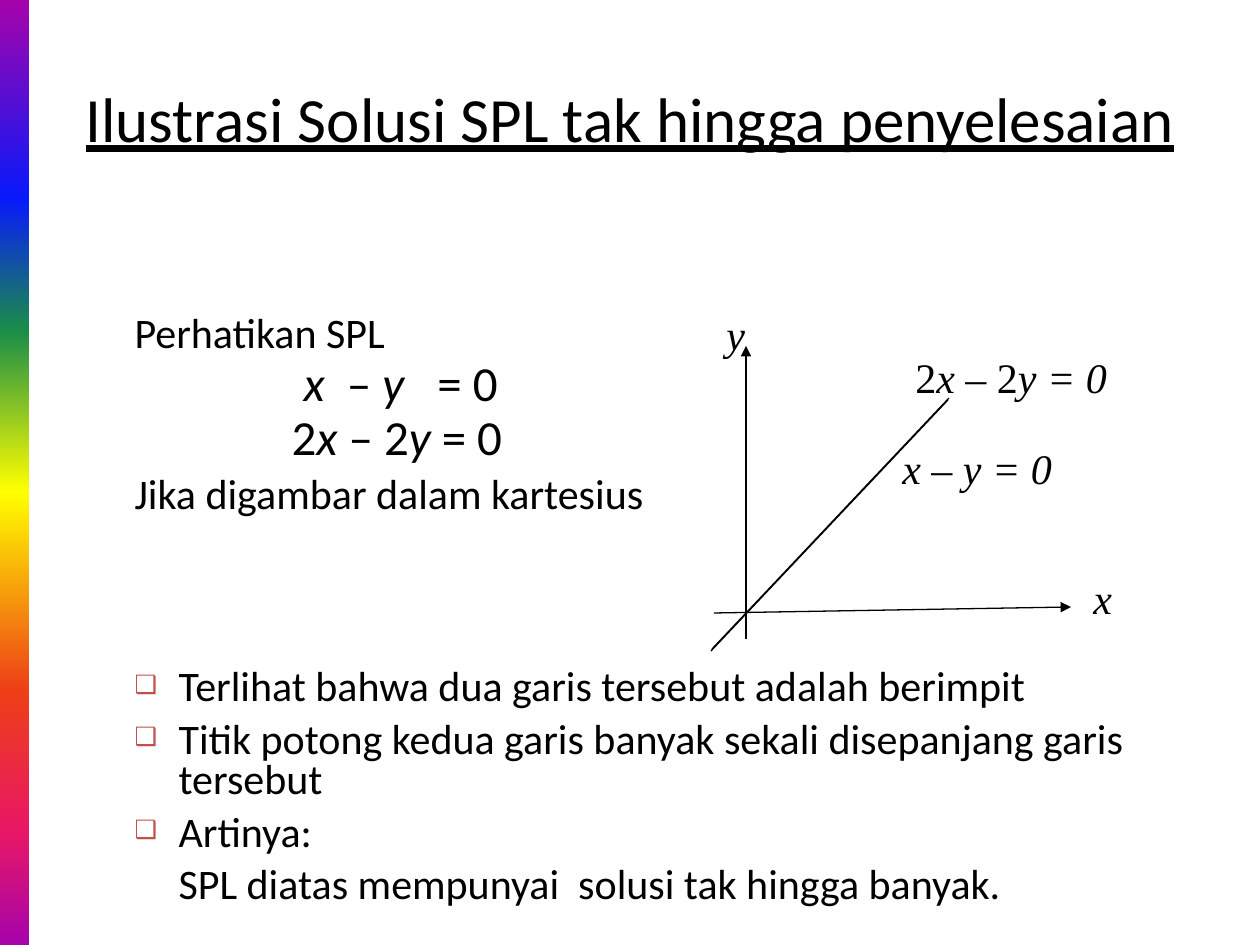
from dataclasses import dataclass

from lxml import etree
from pptx import Presentation
from pptx.dml.color import RGBColor
from pptx.enum.dml import MSO_LINE
from pptx.enum.shapes import MSO_CONNECTOR, MSO_SHAPE
from pptx.enum.text import MSO_ANCHOR, MSO_AUTO_SIZE, PP_ALIGN
from pptx.oxml.ns import qn
from pptx.util import Emu, Pt

SOLID = MSO_LINE.SOLID
STRAIGHT = MSO_CONNECTOR.STRAIGHT
RECTANGLE = MSO_SHAPE.RECTANGLE
MIDDLE, TOP = MSO_ANCHOR.MIDDLE, MSO_ANCHOR.TOP
GROW, FIXED = MSO_AUTO_SIZE.SHAPE_TO_FIT_TEXT, MSO_AUTO_SIZE.NONE
CENTER, LEFT = PP_ALIGN.CENTER, PP_ALIGN.LEFT

PX_PER_INCH = 126
BLACK, BULLET_RED = "000000", "C0504D"
SANS, SERIF = "Calibri", "Times New Roman"
RAINBOW = [(0, "A603AB"), (21, "0819FB"), (35, "1A8D48"), (52, "FFFF00"),
           (73, "EE3F17"), (88, "E81766"), (100, "A603AB")]

# A piece of text is (wording, italic)
Piece = tuple[str, bool]


@dataclass
class Line:
    start: tuple[int, int]
    end: tuple[int, int]
    arrow: bool = False


@dataclass
class Label:
    left: int
    top: int
    width: int
    pieces: list[Piece]


@dataclass
class Item:
    pieces: list[Piece]
    before: int = 7
    size: int = 24
    level: int = 0
    margin: int = 44
    indent: int = -44
    bullet: bool = False


def px(length: int) -> Emu:
    return Emu(round(length * 914400 / PX_PER_INCH))


def color(code: str) -> RGBColor:
    return RGBColor.from_string(code)


def place(shape, left: int, top: int, width: int, height: int) -> None:
    shape.left, shape.top = px(left), px(top)
    shape.width, shape.height = px(width), px(height)


def add_pieces(para, pieces: list[Piece], font: str, size: int) -> None:
    for wording, italic in pieces:
        span = para.add_run()
        span.text = wording
        span.font.name = font
        span.font.size = Pt(size)
        span.font.italic = italic
        span.font.color.rgb = color(BLACK)


def add_strip(page) -> None:
    strip = page.shapes.add_shape(RECTANGLE, 0, 0, px(29), px(945))
    strip.shadow.inherit = False
    strip.line.fill.background()
    strip.fill.gradient()
    strip.fill.gradient_angle = 270
    stops = strip.fill._fill._gradFill.find(qn("a:gsLst"))
    for old in list(stops):
        stops.remove(old)
    for position, code in RAINBOW:
        stop = etree.SubElement(stops, qn("a:gs"), pos=str(position * 1000))
        etree.SubElement(stop, qn("a:srgbClr"), val=code)
    page.shapes._spTree.insert(2, strip._element)  # behind the placeholders


def add_line(page, line: Line) -> None:
    ends = [px(value) for value in line.start + line.end]
    connector = page.shapes.add_connector(STRAIGHT, *ends)
    connector.line.color.rgb = color(BLACK)
    connector.line.width = Pt(0.75)
    connector.line.dash_style = SOLID
    if line.arrow:
        etree.SubElement(connector.line._get_or_add_ln(), qn("a:tailEnd"), type="triangle")
    etree.SubElement(connector._element.spPr, qn("a:effectLst"))


def add_label(page, label: Label) -> None:
    box = page.shapes.add_textbox(px(label.left), px(label.top), px(label.width), px(63))
    box.text_frame.word_wrap = True
    box.text_frame.auto_size = GROW
    add_pieces(box.text_frame.paragraphs[0], label.pieces, SERIF, 24)


def format_item(para, item: Item) -> None:
    para.level = item.level
    para.alignment = LEFT
    para.line_spacing = 0.8
    para.space_before = Pt(item.before)
    properties = para._p.get_or_add_pPr()
    properties.set("marL", str(px(item.margin)))
    properties.set("indent", str(px(item.indent)))
    if item.bullet:
        tint = etree.SubElement(properties, qn("a:buClr"))
        etree.SubElement(tint, qn("a:srgbClr"), val=BULLET_RED)
        etree.SubElement(properties, qn("a:buSzPct"), val="60000")
        etree.SubElement(properties, qn("a:buChar"), char="❑")
    else:
        etree.SubElement(properties, qn("a:buNone"))
    add_pieces(para, item.pieces, SANS, item.size)


def fill_title(title, wording: str) -> None:
    place(title, 63, 38, 1134, 158)
    title.text_frame.vertical_anchor = MIDDLE
    title.text_frame.auto_size = FIXED
    para = title.text_frame.paragraphs[0]
    para.alignment = CENTER
    add_pieces(para, [(wording, False)], SANS, 36)
    para.runs[0].font.underline = True


def fill_body(body, items: list[Item]) -> None:
    place(body, 122, 310, 1016, 635)
    frame = body.text_frame
    frame.vertical_anchor = TOP
    frame.auto_size = FIXED
    for number, item in enumerate(items):
        para = frame.add_paragraph() if number else frame.paragraphs[0]
        format_item(para, item)


EQUATION = dict(before=4, size=28, level=3, margin=189)
ITEMS = [
    Item([("Perhatikan SPL", False)], before=0),
    Item([("x", True), ("  – ", False), ("y  ", True), (" = 0", False)],
         indent=-20, **EQUATION),
    Item([("2", False), ("x", True), (" – 2", False), ("y", True), (" = 0", False)],
         indent=-32, **EQUATION),
    Item([("Jika digambar dalam kartesius", False)]),
    Item([("Terlihat bahwa dua garis tersebut adalah berimpit", False)],
         before=87, bullet=True),
    Item([("Titik potong kedua garis banyak sekali disepanjang garis tersebut", False)],
         bullet=True),
    Item([("Artinya:", False)], bullet=True),
    Item([("SPL diatas mempunyai  solusi tak hingga banyak.", False)], indent=0),
]
LINES = [
    Line((746, 639), (746, 346), arrow=True),   # y axis
    Line((714, 613), (1071, 607), arrow=True),  # x axis
    Line((711, 651), (948, 400)),               # the two coinciding lines
    Line((712, 649), (949, 398)),
]
LABELS = [
    Label(1081, 566, 73, [("x", True)]),
    Label(890, 436, 199, [("x – y = 0", True)]),
    Label(903, 345, 242, [("2", False), ("x ", True), ("– 2", False), ("y = 0", True)]),
    Label(714, 302, 73, [("y", True)]),
]


def main() -> None:
    deck = Presentation()
    deck.slide_width, deck.slide_height = px(1260), px(945)
    page = deck.slides.add_slide(deck.slide_layouts[1])

    # Rainbow edge, title and list
    add_strip(page)
    fill_title(page.shapes.title, "Ilustrasi Solusi SPL tak hingga penyelesaian")
    fill_body(page.placeholders[1], ITEMS)

    # Cartesian graph
    for line in LINES:
        add_line(page, line)
    for label in LABELS:
        add_label(page, label)

    deck.save("out.pptx")


if __name__ == "__main__":
    main()
